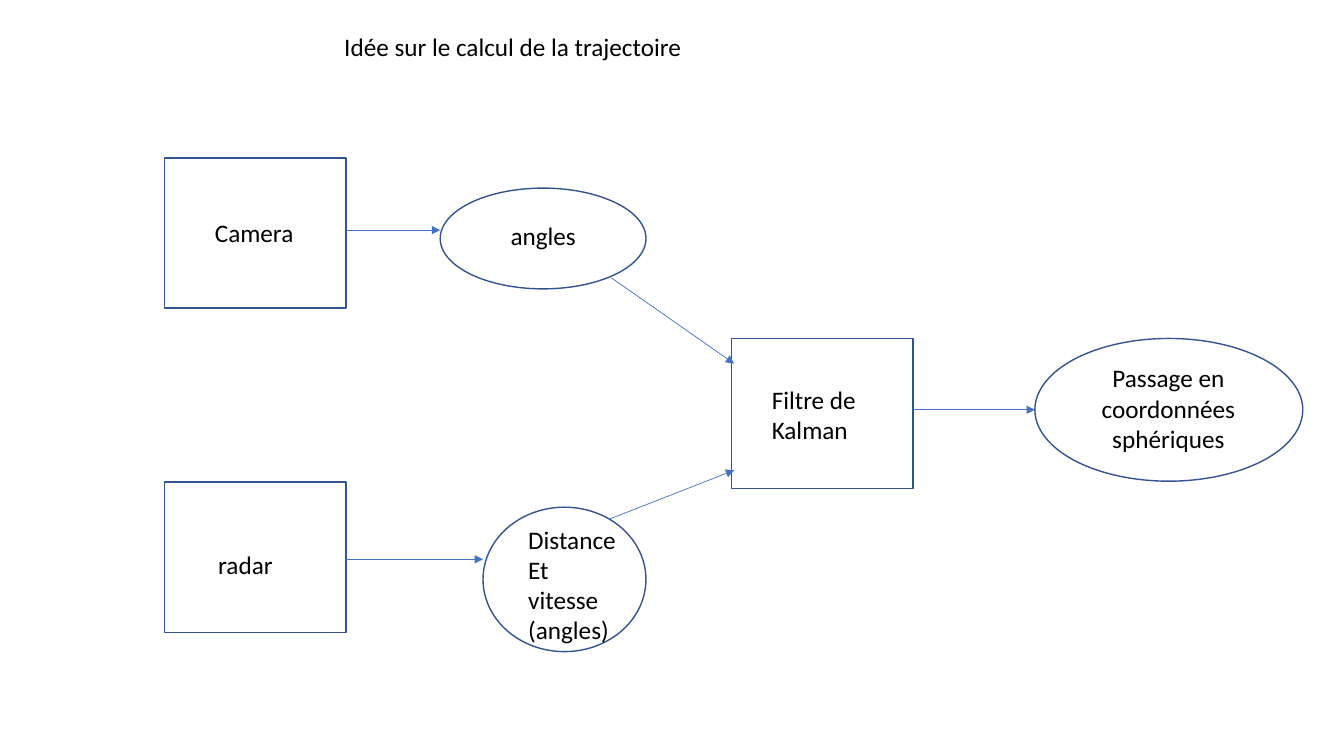
from lxml import etree
from pptx import Presentation
from pptx.dml.color import RGBColor
from pptx.enum.dml import MSO_THEME_COLOR
from pptx.enum.shapes import MSO_CONNECTOR, MSO_SHAPE
from pptx.enum.text import MSO_AUTO_SIZE, PP_ALIGN
from pptx.oxml.ns import qn
from pptx.util import Inches, Pt

RECTANGLE, ELLIPSE = MSO_SHAPE.RECTANGLE, MSO_SHAPE.OVAL
STRAIGHT = MSO_CONNECTOR.STRAIGHT
LEFT, CENTER = PP_ALIGN.LEFT, PP_ALIGN.CENTER
FIT_TEXT = MSO_AUTO_SIZE.SHAPE_TO_FIT_TEXT
WHITE = RGBColor(0xFF, 0xFF, 0xFF)
BLACK = RGBColor(0x00, 0x00, 0x00)
OUTLINE = RGBColor(0x32, 0x54, 0x91)
ARROW = RGBColor(0x44, 0x72, 0xC4)

deck = Presentation()
deck.slide_width, deck.slide_height = Inches(13.33), Inches(7.5)
page = deck.slides.add_slide(deck.slide_layouts[6])
CELL = deck.slide_width / 16


def grid(*cells):
    return [round(cell * CELL) for cell in cells]


BOX_SIZE = (2.16, 1.79)
SENSOR_COLUMN, FILTER_COLUMN = 1.96, 8.71
CAMERA_ROW, FILTER_ROW, RADAR_ROW = 1.88, 4.03, 5.74
SENSOR_EDGE = SENSOR_COLUMN + BOX_SIZE[0]
FILTER_EDGE = FILTER_COLUMN + BOX_SIZE[0]
ANGLES_COLUMN, DISTANCE_COLUMN, RESULT_COLUMN = 5.24, 5.75, 12.32
CAMERA_FLOW, RADAR_FLOW, RESULT_FLOW = 2.74, 6.66, 4.88
FILTER_ENTRY = 8.74
LINE_HEIGHT = 0.48

outlines = [
    (RECTANGLE, SENSOR_COLUMN, CAMERA_ROW, *BOX_SIZE),
    (RECTANGLE, SENSOR_COLUMN, RADAR_ROW, *BOX_SIZE),
    (RECTANGLE, FILTER_COLUMN, FILTER_ROW, *BOX_SIZE),
    (ELLIPSE, ANGLES_COLUMN, 2.24, 2.45, 1.2),
    (ELLIPSE, DISTANCE_COLUMN, 6.04, 1.94, 1.72),
    (ELLIPSE, RESULT_COLUMN, FILTER_ROW, 3.19, 1.7),
]
for kind, *place in outlines:
    box = page.shapes.add_shape(kind, *grid(*place))
    box.shadow.inherit = False
    box.fill.solid()
    box.fill.fore_color.rgb = WHITE
    box.line.color.rgb = OUTLINE
    box.line.width = Pt(1)

labels = [
    ("Idée sur le calcul de la trajectoire", LEFT, 3.98, 0.32, 8.34, LINE_HEIGHT),
    ("Camera ", LEFT, 2.44, 2.53, 2.45, LINE_HEIGHT),
    ("radar", LEFT, 2.48, 6.48, 2.05, LINE_HEIGHT),
    ("angles", LEFT, 5.96, 2.57, 1.2, LINE_HEIGHT),
    ("Distance\nEt vitesse\v(angles)", LEFT, 6.17, 6.18, 1.28, 1.57),
    ("Filtre de Kalman", LEFT, 9.07, 4.52, 1.69, 0.85),
    ("Passage en coordonnées sphériques", CENTER, 12.97, 4.26, 1.88, 1.21),
]
for wording, alignment, *place in labels:
    frame = page.shapes.add_textbox(*grid(*place)).text_frame
    frame.word_wrap = True
    frame.auto_size = FIT_TEXT
    frame.text = wording
    for para in frame.paragraphs:
        para.alignment = alignment
        para.font.name = "Calibri"
        para.font.size = Pt(18)
        para.font.color.rgb = BLACK

arrows = [
    (SENSOR_EDGE, CAMERA_FLOW, ANGLES_COLUMN, CAMERA_FLOW),
    (SENSOR_EDGE, RADAR_FLOW, DISTANCE_COLUMN, RADAR_FLOW),
    (7.28, 3.31, FILTER_ENTRY, 4.33),
    (7.26, 6.18, FILTER_ENTRY, 5.6),
    (FILTER_EDGE, RESULT_FLOW, RESULT_COLUMN, RESULT_FLOW),
]
for ends in arrows:
    arrow = page.shapes.add_connector(STRAIGHT, *grid(*ends))
    arrow.line.color.rgb = ARROW
    arrow.line.width = Pt(0.5)
    properties = arrow.element.spPr
    etree.SubElement(properties.find(qn("a:ln")), qn("a:tailEnd"), type="triangle")
    etree.SubElement(properties, qn("a:effectLst"))

deck.save("out.pptx")
